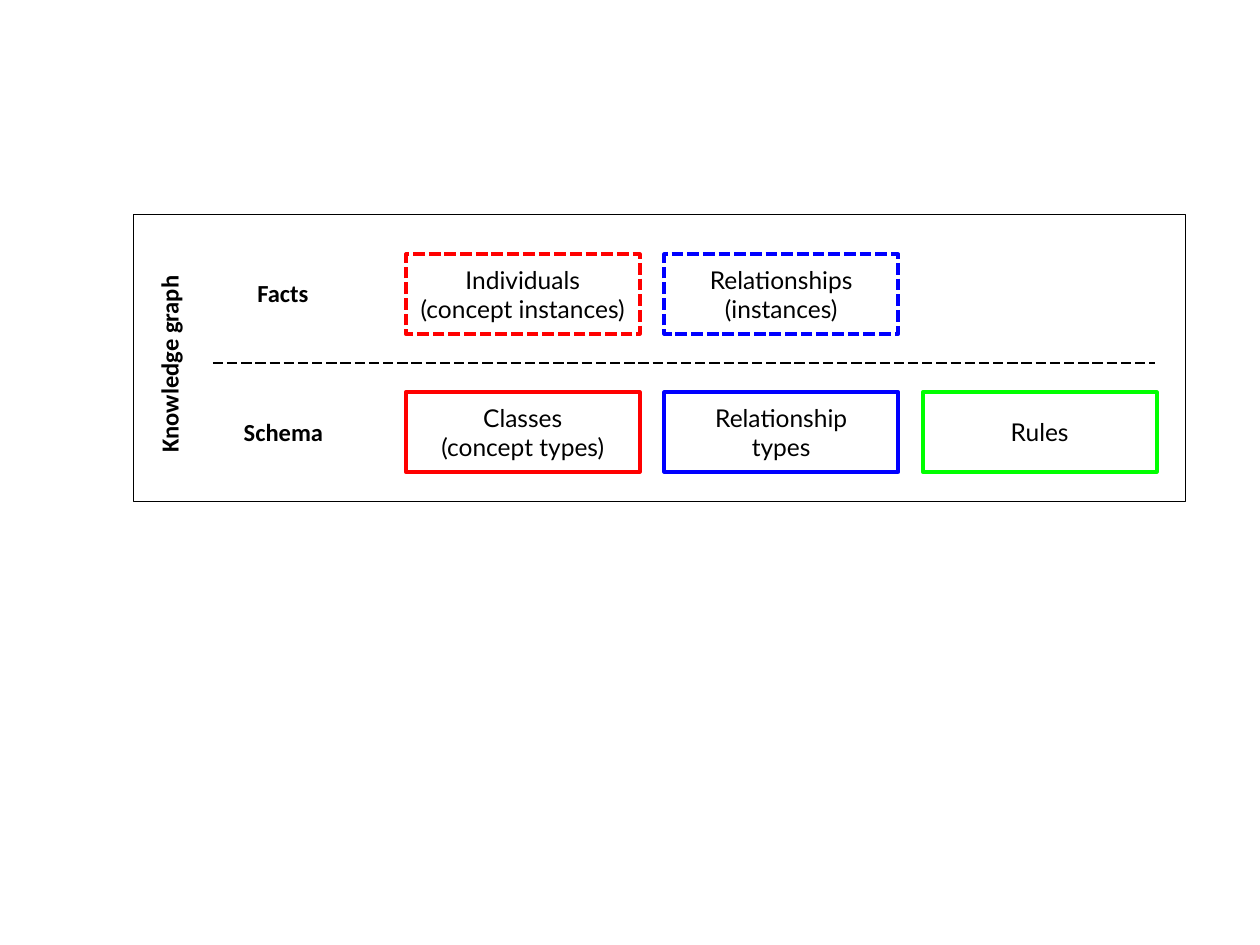
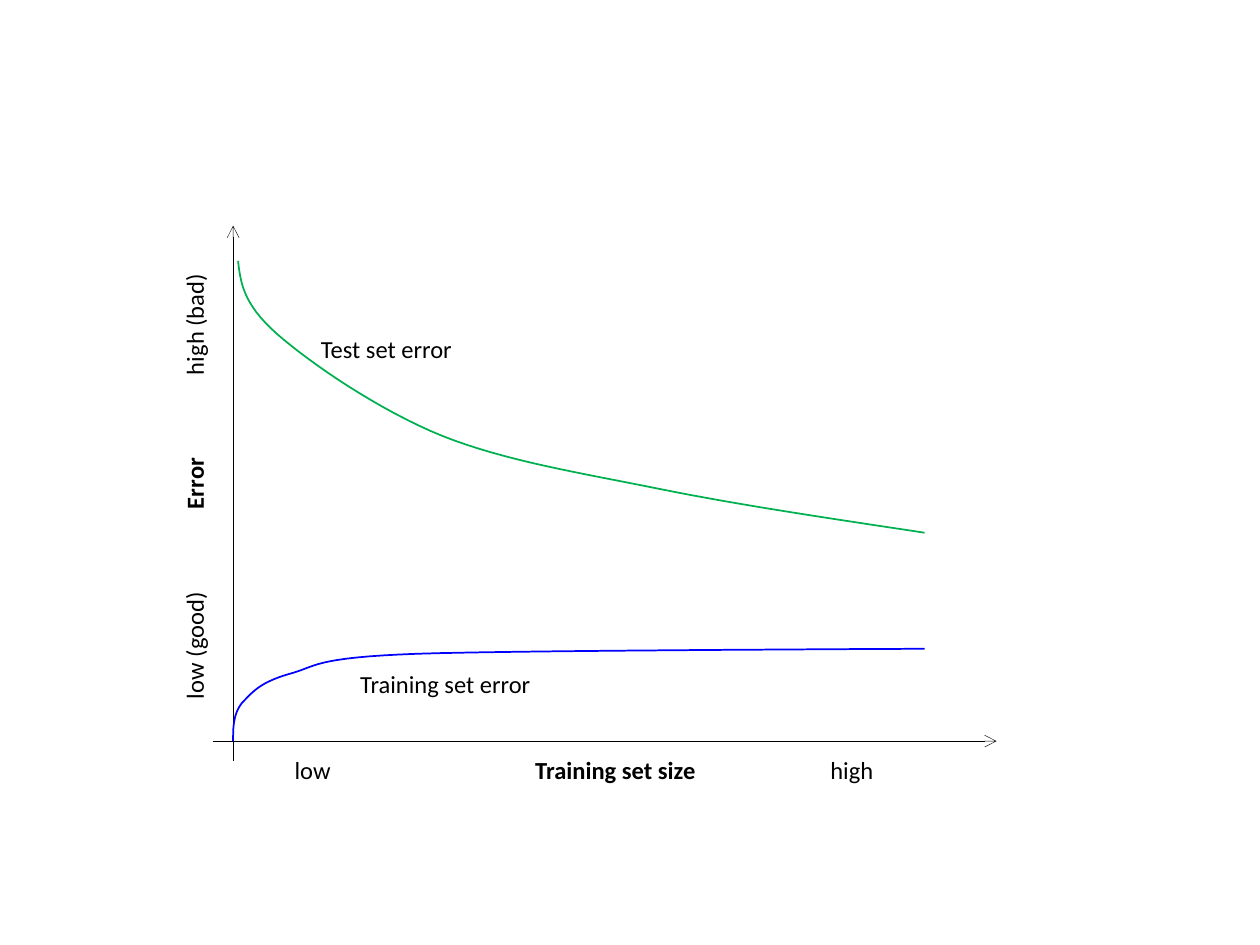
"""Builds two slides: the parts of a knowledge graph, and error against training set size."""
from pptx import Presentation
from pptx.dml.color import RGBColor
from pptx.enum.dml import MSO_LINE
from pptx.enum.shapes import MSO_CONNECTOR, MSO_SHAPE
from pptx.enum.text import MSO_ANCHOR as ANCHOR, PP_ALIGN as ALIGN
from pptx.oxml.ns import qn
from pptx.util import Cm, Pt
from lxml.etree import SubElement

BLACK = RGBColor(0x00, 0x00, 0x00)
RED = RGBColor(0xFF, 0x00, 0x00)
BLUE = RGBColor(0x00, 0x00, 0xFF)
LIME = RGBColor(0x00, 0xFF, 0x00)
GREEN = RGBColor(0x00, 0xB0, 0x50)
LABEL_HEIGHT = 0.86
CURVE_STEPS = 16


def write_text(box, text, font="Calibri", bold_part=None, align=ALIGN.LEFT,
               anchor=ANCHOR.TOP, wrap=False, tabs=()):
    """Fills a box; tabs split a line into parts, and bold_part is the index of the bold one."""
    frame = box.text_frame
    frame.word_wrap = wrap
    frame.vertical_anchor = anchor
    for number, line in enumerate(text.split("\n")):
        para = frame.add_paragraph() if number else frame.paragraphs[0]
        para.alignment = align
        if tabs:
            tab_list = SubElement(para._p.get_or_add_pPr(), qn("a:tabLst"))
            for stop in tabs:
                SubElement(tab_list, qn("a:tab"), pos=str(Cm(stop)), algn="l")
        for index, part in enumerate(line.split("\t")):
            span = para.add_run()
            span.text = "\t" + part if index else part
            span.font.name = font
            span.font.size = Pt(14)
            span.font.bold = index == bold_part
            span.font.color.rgb = BLACK


def add_line(page, start, end, width, dash=None, arrow=False):
    """Adds a straight black line, with an optional arrowhead at its end."""
    line = page.shapes.add_connector(MSO_CONNECTOR.STRAIGHT, *map(Cm, start + end))
    line.line.color.rgb = BLACK
    line.line.width = Pt(width)
    if dash:
        line.line.dash_style = dash
    properties = line._element.spPr
    if arrow:
        SubElement(properties.find(qn("a:ln")), qn("a:tailEnd"), type="arrow")
    SubElement(properties, qn("a:effectLst"))


deck = Presentation()
deck.slide_width = Cm(25.4)
deck.slide_height = Cm(19.05)
blank = deck.slide_layouts[6]

page = deck.slides.add_slide(blank)
FACTS_TOP, SCHEMA_TOP = 5.13, 7.91
FIRST_LEFT, COLUMN_PITCH = 8.18, 5.21
elements = [
    (0, FACTS_TOP, "Individuals\n(concept instances)", RED),
    (0, SCHEMA_TOP, "Classes\n(concept types)", RED),
    (1, FACTS_TOP, "Relationships\n(instances)", BLUE),
    (1, SCHEMA_TOP, "Relationship\ntypes", BLUE),
    (2, SCHEMA_TOP, "Rules", LIME),
]
for column, top, text, color in elements:
    left = FIRST_LEFT + column * COLUMN_PITCH
    box = page.shapes.add_shape(MSO_SHAPE.RECTANGLE, Cm(left), Cm(top), Cm(4.72), Cm(1.6))
    box.shadow.inherit = False
    box.fill.background()
    box.line.color.rgb = color
    box.line.width = Pt(2.25)
    if top == FACTS_TOP:
        box.line.dash_style = MSO_LINE.SQUARE_DOT
    write_text(box, text, font="Lato", align=ALIGN.CENTER, anchor=ANCHOR.MIDDLE, wrap=True)

add_line(page, (4.29, 7.32), (23.29, 7.32), 0.75, dash=MSO_LINE.LONG_DASH)

border = page.shapes.add_shape(MSO_SHAPE.RECTANGLE, Cm(2.69), Cm(4.32), Cm(21.21), Cm(5.79))
border.shadow.inherit = False
border.fill.background()
border.line.color.rgb = BLACK
border.line.width = Pt(0.25)

for text, left, top, width, rotation in [
    ("Facts", 4.93, 5.49, 1.55, 0),
    ("Schema", 4.65, 8.28, 2.13, 0),
    ("Knowledge graph", 1.37, 6.91, 4.09, 270),
]:
    heading = page.shapes.add_textbox(Cm(left), Cm(top), Cm(width), Cm(LABEL_HEIGHT))
    heading.rotation = rotation
    write_text(heading, text, bold_part=0, align=ALIGN.CENTER)

page = deck.slides.add_slide(blank)
add_line(page, (4.29, 14.94), (20.09, 14.94), 0.25, arrow=True)
add_line(page, (4.7, 15.34), (4.7, 4.55), 0.25, arrow=True)

for text, left, top, width, rotation, tabs in [
    ("low\tTraining set size\thigh", 5.69, 15.09, 12.17, 0, (4.85, 10.8)),
    ("low (good)\tError\thigh (bad)", -0.64, 9.35, 9.12, 270, (3.83, 6.53)),
]:
    axis_label = page.shapes.add_textbox(Cm(left), Cm(top), Cm(width), Cm(LABEL_HEIGHT))
    axis_label.rotation = rotation
    write_text(axis_label, text, bold_part=1, wrap=True, tabs=tabs)

training_curve = [
    (4.7, 14.94), (4.7, 14.68), (4.7, 14.4), (4.88, 14.17),
    (5.08, 13.97), (5.21, 13.77), (5.82, 13.59),
    (6.4, 13.44), (6.27, 13.26), (8.41, 13.18),
    (10.57, 13.11), (18.64, 13.08), (18.64, 13.08),
]
test_curve = [
    (4.8, 5.26), (4.85, 5.69), (4.9, 6.12), (5.56, 6.71),
    (6.25, 7.32), (7.62, 8.26), (8.92, 8.79),
    (10.21, 9.3), (11.68, 9.53), (13.31, 9.86),
    (14.94, 10.19), (16.79, 10.46), (18.64, 10.74),
]
for controls, color in [(training_curve, BLUE), (test_curve, GREEN)]:
    points = []
    for first in range(0, len(controls) - 1, 3):
        segment = controls[first:first + 4]
        for step in range(1, CURVE_STEPS + 1):
            t = step / CURVE_STEPS
            weights = ((1 - t) ** 3, 3 * t * (1 - t) ** 2, 3 * t ** 2 * (1 - t), t ** 3)
            x = sum(weight * point[0] for weight, point in zip(weights, segment))
            y = sum(weight * point[1] for weight, point in zip(weights, segment))
            points.append((Cm(x), Cm(y)))
    builder = page.shapes.build_freeform(Cm(controls[0][0]), Cm(controls[0][1]))
    builder.add_line_segments(points, close=False)
    curve = builder.convert_to_shape()
    curve.shadow.inherit = False
    curve.fill.background()
    curve.line.color.rgb = color
    curve.line.width = Pt(1)

for text, left, top, width in [
    ("Training set error", 7.01, 13.36, 3.99),
    ("Test set error", 6.22, 6.6, 3.18),
]:
    curve_label = page.shapes.add_textbox(Cm(left), Cm(top), Cm(width), Cm(LABEL_HEIGHT))
    write_text(curve_label, text)

deck.save("out.pptx")
